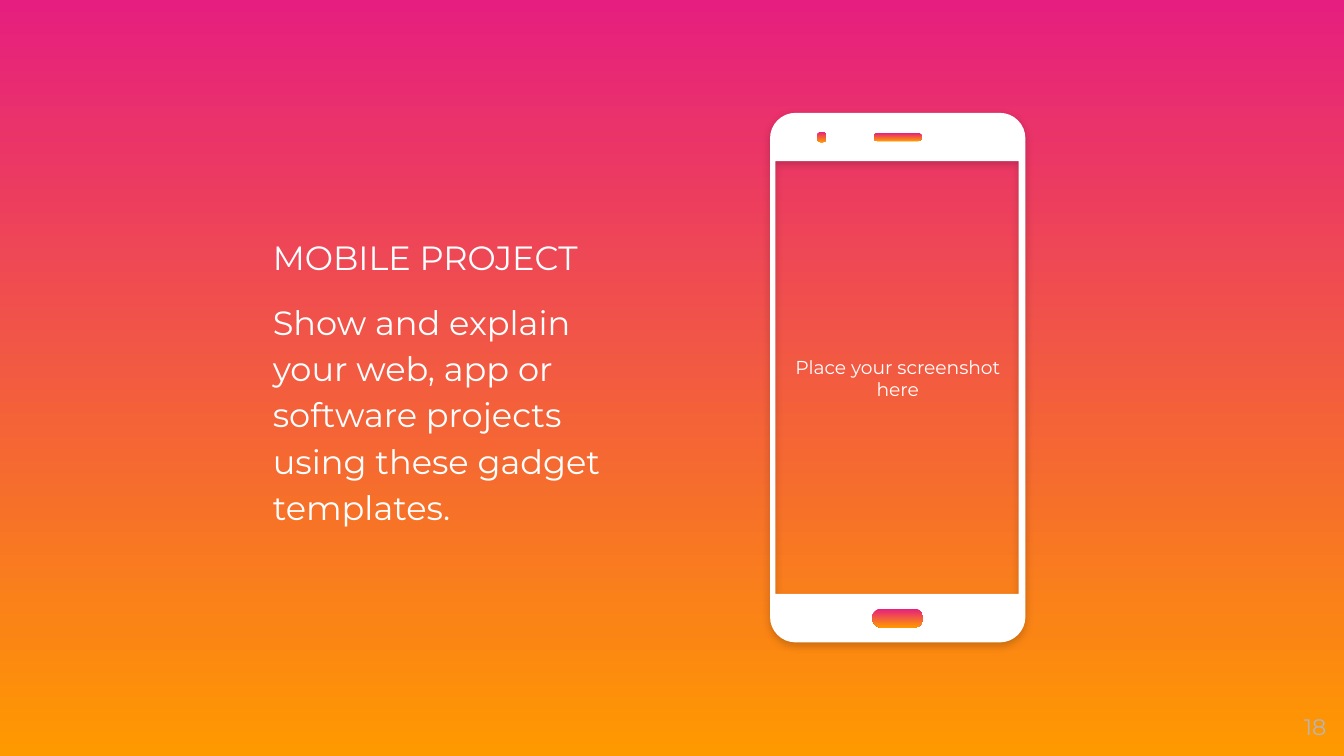
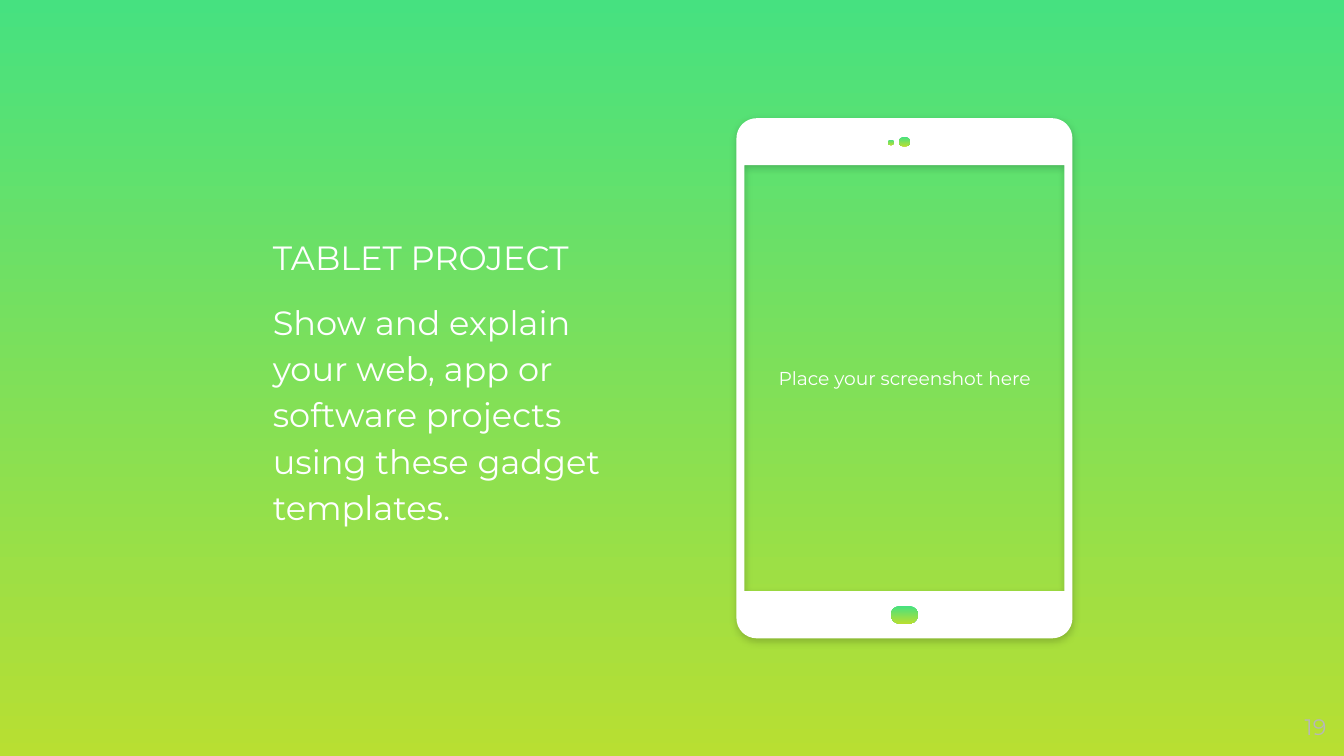
import math

from lxml import etree
from pptx import Presentation
from pptx.dml.color import RGBColor
from pptx.enum import text
from pptx.oxml import ns
from pptx.util import Emu, Inches, Pt

COLORS = {
    "white": "FFFFFF",
    "number": "B7B7B7",
    "shadow": "000000",
    "pink": "E61E7F",
    "orange": "FF9900",
    "green": "46E180",
    "lime": "B8DF32",
}
FONT = "Montserrat"
ARC_STEPS = 8
BODY_TEXT = "Show and explain your web, app or software projects using these gadget templates."
LABEL_TEXT = "Place your screenshot here"

# Boxes are (left, top, width, height); details add a corner radius.
SLIDES = [
    {
        "heading": "MOBILE PROJECT",
        "number": "18",
        "gradient": ("pink", "orange"),
        "frame": ((5.73, 0.84, 1.9, 3.94), 0.19),
        "screen": (5.77, 1.2, 1.81, 3.22),
        "label": (5.78, 1.21, 1.8, 3.21),
        "details": [
            ((6.49, 4.53, 0.38, 0.14), 0.07),    # home button
            ((6.08, 0.98, 0.07, 0.08), 0.035),   # camera
            ((6.5, 0.99, 0.36, 0.06), 0.03),     # speaker
        ],
    },
    {
        "heading": "TABLET PROJECT",
        "number": "19",
        "gradient": ("green", "lime"),
        "frame": ((5.48, 0.88, 2.5, 3.87), 0.15),
        "screen": (5.54, 1.23, 2.38, 3.17),
        "label": (5.54, 1.24, 2.38, 3.15),
        "details": [
            ((6.63, 4.51, 0.2, 0.13), 0.065),    # home button
            ((6.61, 1.04, 0.04, 0.04), 0.02),    # sensor
            ((6.69, 1.02, 0.08, 0.07), 0.035),   # camera
        ],
    },
]


def rgb(name):
    return RGBColor.from_string(COLORS[name])


def fill_gradient(fill, names):
    """Blend from the first colour at the top to the second at the bottom."""
    fill.gradient()
    fill.gradient_angle = 270
    for stop, name in zip(fill.gradient_stops, names):
        stop.color.rgb = rgb(name)


# Text
def format_frame(frame, inset=0):
    values = {
        "word_wrap": True,
        "auto_size": text.MSO_AUTO_SIZE.NONE,
        "vertical_anchor": text.MSO_ANCHOR.MIDDLE,
    }
    for side in ("left", "top", "right", "bottom"):
        values["margin_" + side] = Inches(inset)
    for name, value in values.items():
        setattr(frame, name, value)


def write(para, words, size, color="white", **values):
    for name, value in values.items():
        setattr(para, name, value)
    span = para.add_run()
    span.text = words
    for name, value in {"name": FONT, "size": Pt(size)}.items():
        setattr(span.font, name, value)
    span.font.color.rgb = rgb(color)


def add_text(page, at, words, size, color, align, inset=0):
    box = page.shapes.add_textbox(*map(Inches, at))
    format_frame(box.text_frame, inset)
    write(box.text_frame.paragraphs[0], words, size, color, alignment=align)


def fill_body(page, heading):
    body = page.placeholders[1]
    for name, value in zip(("left", "top", "width", "height"), (2.03, 0.53, 2.74, 4.58)):
        setattr(body, name, Inches(value))
    frame = body.text_frame
    format_frame(frame)
    write(frame.paragraphs[0], heading, 18,
          line_spacing=1.15, space_before=Pt(6), space_after=Pt(0))
    write(frame.add_paragraph(), BODY_TEXT, 18,
          line_spacing=1.15, space_before=Pt(10), space_after=Pt(10))
    for para in frame.paragraphs:
        settings = para._p.get_or_add_pPr()
        settings.set("marL", "0")
        settings.set("indent", "0")
        etree.SubElement(settings, ns.qn("a:buNone"))


# Device
def rounded_outline(box, radius):
    """Points of a rounded rectangle, clockwise from its left side."""
    left, top, width, height = box
    near_x, far_x = left + radius, left + width - radius
    near_y, far_y = top + radius, top + height - radius
    centers = [(near_x, near_y), (far_x, near_y), (far_x, far_y), (near_x, far_y)]
    points = []
    for corner, (x, y) in enumerate(centers):
        for step in range(ARC_STEPS + 1):
            angle = math.pi * (1 + (corner + step / ARC_STEPS) / 2)
            points.append((x + radius * math.cos(angle), y + radius * math.sin(angle)))
    return points


def rectangle_outline(box):
    """Corners of a rectangle, counterclockwise, for a cut-out."""
    left, top, width, height = box
    right, bottom = left + width, top + height
    return [(left, top), (left, bottom), (right, bottom), (right, top)]


def add_outline(group, *outlines):
    builder = None
    for outline in outlines:
        points = [(Inches(x), Inches(y)) for x, y in outline]
        if builder is None:
            builder = group.shapes.build_freeform(*points[0], scale=1.0)
        else:
            builder.move_to(*points[0])
        builder.add_line_segments(points[1:], close=True)
    shape = builder.convert_to_shape()
    shape.line.fill.background()
    shape.shadow.inherit = False
    return shape


def add_soft_shadow(shape):
    effects = shape._element.spPr.find(ns.qn("a:effectLst"))
    shadow = etree.SubElement(
        effects, ns.qn("a:outerShdw"), blurRad=str(Pt(4.5)), dist=str(Pt(1.5)),
        dir="5400000", algn="bl", rotWithShape="0")
    color = etree.SubElement(shadow, ns.qn("a:srgbClr"), val=COLORS["shadow"])
    etree.SubElement(color, ns.qn("a:alpha"), val="20000")


def add_device(page, content):
    group = page.shapes.add_group_shape()
    frame = add_outline(group, rounded_outline(*content["frame"]),
                        rectangle_outline(content["screen"]))
    frame.fill.solid()
    frame.fill.fore_color.rgb = rgb("white")
    add_soft_shadow(frame)
    for detail in content["details"]:
        shape = add_outline(group, rounded_outline(*detail))
        fill_gradient(shape.fill, content["gradient"])


def add_project(deck, content):
    page = deck.slides.add_slide(deck.slide_layouts.get_by_name("Title and Content"))
    empty_title = page.shapes.title.element
    empty_title.getparent().remove(empty_title)
    fill_gradient(page.background.fill, content["gradient"])
    fill_body(page, content["heading"])
    add_text(page, content["label"], LABEL_TEXT, 10, "white", text.PP_ALIGN.CENTER, 0.1)
    add_text(page, (9.27, 5.19, 0.6, 0.43), content["number"], 12, "number",
             text.PP_ALIGN.RIGHT)
    add_device(page, content)


def main():
    deck = Presentation()
    deck.slide_width, deck.slide_height = Inches(10), Emu(5143500)
    for content in SLIDES:
        add_project(deck, content)
    deck.save("out.pptx")


if __name__ == "__main__":
    main()
